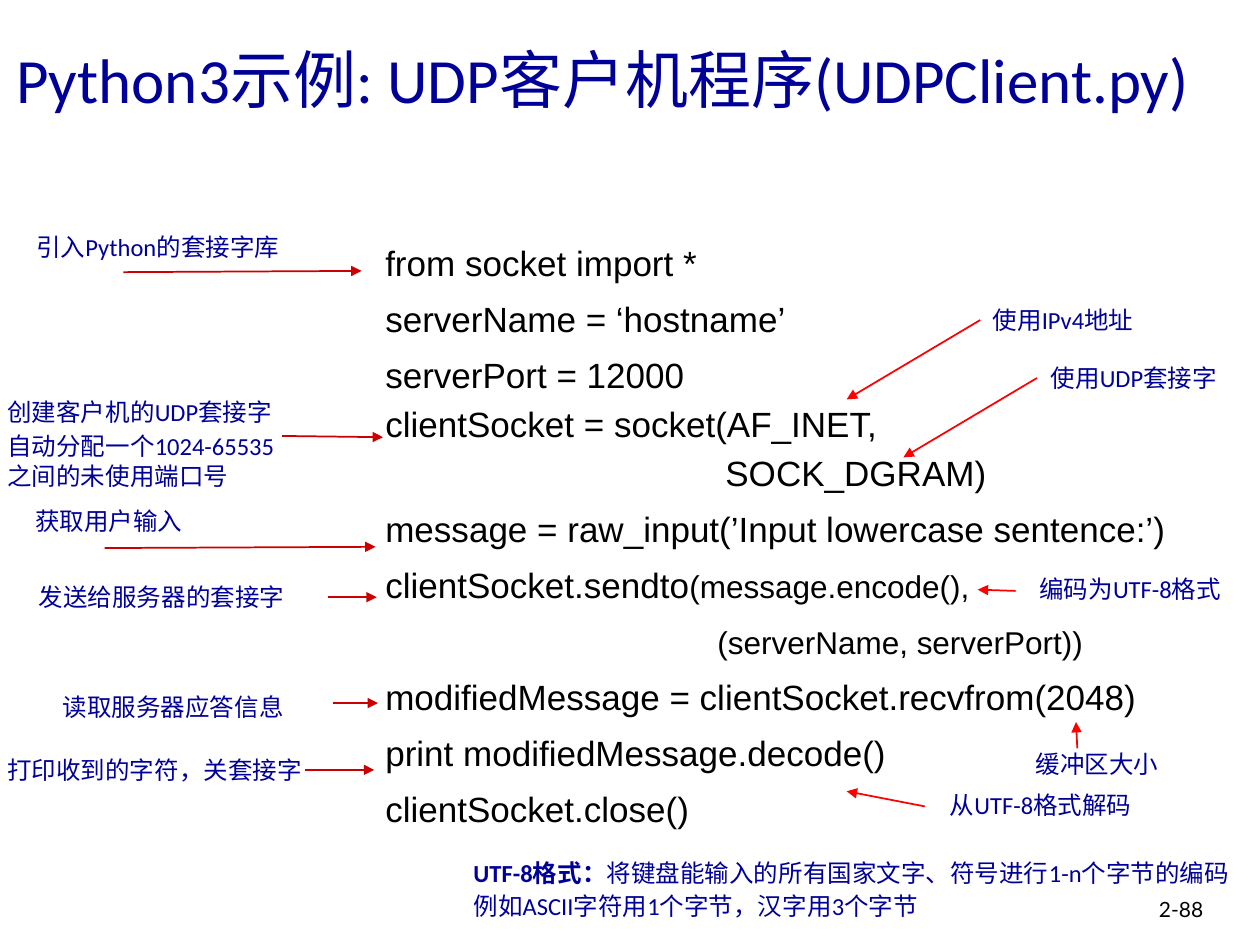
from lxml import etree
from pptx import Presentation
from pptx.dml.color import RGBColor
from pptx.enum.shapes import MSO_CONNECTOR
from pptx.enum.text import MSO_ANCHOR, MSO_AUTO_SIZE
from pptx.oxml.ns import qn
from pptx.util import Inches, Pt

STRAIGHT = MSO_CONNECTOR.STRAIGHT
MIDDLE = MSO_ANCHOR.MIDDLE
TOP = MSO_ANCHOR.TOP
FIT = MSO_AUTO_SIZE.SHAPE_TO_FIT_TEXT
FIXED = MSO_AUTO_SIZE.NONE

NAVY = RGBColor(0x00, 0x00, 0x99)
BLACK = RGBColor(0x00, 0x00, 0x00)
DARK_RED = RGBColor(0xCC, 0x00, 0x00)
RED = RGBColor(0xFF, 0x00, 0x00)


class SlideBuilder:
    def __init__(self, slide):
        self.slide = slide

    def text(self, box, lines, size=14, font="Calibri", color=NAVY,
             spacing=None, anchor=TOP, fit=FIT):
        """Add a text box; each line is a string."""
        sp = self.slide.shapes.add_textbox(*map(Inches, box))
        tf = sp.text_frame
        tf.word_wrap = True
        tf.auto_size = fit
        tf.vertical_anchor = anchor
        tf.text = "\n".join(lines)
        for i, p in enumerate(tf.paragraphs):
            if spacing:
                p.line_spacing = Pt(spacing)
            if i:
                p.space_before = Pt(round(size * 0.2))
            for r in p.runs:
                self.style(r, size, font, color)
        return tf

    def style(self, r, size, font, color, bold=False):
        r.font.size = Pt(size)
        r.font.name = font
        r.font.bold = bold
        r.font.color.rgb = color
        for tag in ("a:ea", "a:cs"):
            etree.SubElement(r.font._element, qn(tag), typeface=font)

    def add_run(self, p, text, size, font, color):
        r = p.add_run()
        r.text = text
        self.style(r, size, font, color)

    def arrow(self, start, end, color):
        line = self.slide.shapes.add_connector(
            STRAIGHT, *map(Inches, start + end))
        line.line.color.rgb = color
        line.line.width = Pt(1)
        etree.SubElement(line.line._get_or_add_ln(), qn("a:tailEnd"),
                         type="triangle")
        etree.SubElement(line._element.spPr, qn("a:effectLst"))

    def note(self, box, lines, start, end, color, spacing=None):
        """Add an explanation with an arrow to its code line."""
        self.text(box, lines, spacing=spacing)
        self.arrow(start, end, color)


CODE = [
    "from socket import *",
    "serverName = ‘hostname’",
    "serverPort = 12000",
    "clientSocket = socket(AF_INET,",
    "                                   SOCK_DGRAM)",
    "message = raw_input(’Input lowercase sentence:’)",
    "clientSocket.sendto",
    "                                      (serverName, serverPort))",
    "modifiedMessage = clientSocket.recvfrom(2048)",
    "print modifiedMessage.decode()",
    "clientSocket.close()",
]
SOCKET_LINES = (3, 4)
SEND_LINE, ADDRESS_LINE = 6, 7

# box, lines, arrow start, arrow end, line spacing
LEFT_NOTES = [
    ((0.19, 1.8, 2.13, 0.33), ["引入Python的套接字库"],
     (0.98, 2.16), (2.87, 2.15), 16),
    ((-0.04, 3.1, 2.48, 0.85),
     ["创建客户机的UDP套接字", "自动分配一个1024-65535之间的未使用端口号"],
     (2.24, 3.46), (3.04, 3.47), None),
    ((0.18, 3.98, 1.38, 0.33), ["获取用户输入"],
     (0.83, 4.35), (2.98, 4.34), 16),
    ((0.21, 4.57, 2.57, 0.34), ["发送给服务器的套接字"],
     (2.6, 4.74), (2.99, 4.74), None),
    ((-0.04, 5.94, 2.57, 0.34), ["打印收到的字符，关套接字"],
     (2.42, 6.11), (2.97, 6.11), None),
    ((0.4, 5.44, 2.57, 0.34), ["读取服务器应答信息"],
     (2.64, 5.58), (3, 5.58), None),
]
RIGHT_NOTES = [
    ((7.78, 2.38, 1.32, 0.33), ["使用IPv4地址"],
     (7.78, 2.54), (6.72, 3.17), 16),
    ((8.15, 4.52, 1.69, 0.33), ["编码为UTF-8格式"],
     (8.06, 4.69), (7.76, 4.68), 16),
    ((7.44, 6.23, 1.69, 0.33), ["从UTF-8格式解码"],
     (7.34, 6.4), (6.72, 6.28), 16),
    ((8.24, 2.84, 1.57, 0.33), ["使用UDP套接字"],
     (8.23, 3), (7.17, 3.63), 16),
    ((8.12, 5.91, 1.69, 0.33), ["缓冲区大小"],
     (8.55, 5.94), (8.54, 5.73), 16),
]


def main():
    prs = Presentation()
    prs.slide_width, prs.slide_height = Inches(10), Inches(7.5)
    s = SlideBuilder(prs.slides.add_slide(prs.slide_layouts[6]))

    # Page number and title
    s.text((9.1, 7.07, 0.74, 0.3), ["2-88"], 12, "Lato", BLACK, fit=FIXED)
    s.text((0.03, 0.1, 9.97, 1.04),
           ["Python3示例: UDP客户机程序(UDPClient.py)"], 36,
           anchor=MIDDLE, fit=FIXED)

    # Program listing
    tf = s.text((2.96, 1.81, 6.44, 4.97), CODE, 20, "Arial", BLACK, 28)
    for i in SOCKET_LINES:
        tf.paragraphs[i].line_spacing = Pt(24)
    s.add_run(tf.paragraphs[SEND_LINE], "(message.encode(),",
              18, "Arial", BLACK)
    tf.paragraphs[ADDRESS_LINE].runs[0].font.size = Pt(18)

    # Explanations on both sides
    for notes, color in ((LEFT_NOTES, DARK_RED), (RIGHT_NOTES, RED)):
        for box, lines, start, end, spacing in notes:
            s.note(box, lines, start, end, color, spacing)

    # Remark on the encoding
    tf = s.text((3.66, 6.77, 6.77, 0.6),
                ["UTF-8格式：", "例如ASCII字符用1个字节，汉字用3个字节"],
                spacing=16)
    p = tf.paragraphs[0]
    p.runs[0].font.bold = True
    s.add_run(p, "将键盘能输入的所有国家文字、符号进行1-n个字节的编码",
              14, "Calibri", NAVY)

    prs.save("out.pptx")


if __name__ == "__main__":
    main()
